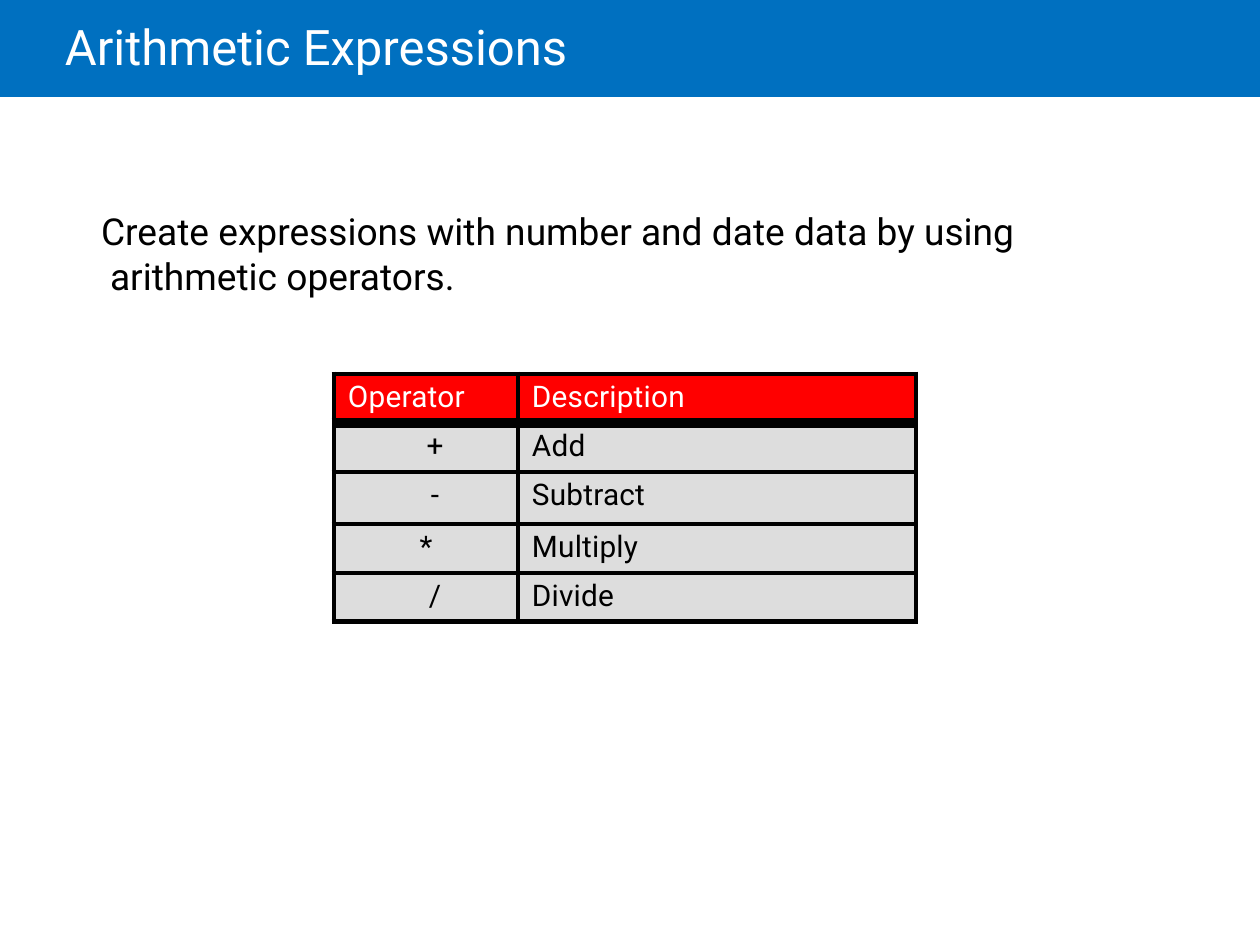
from dataclasses import dataclass
from lxml.etree import SubElement
from pptx import Presentation
from pptx.dml.color import RGBColor
from pptx.enum.shapes import MSO_SHAPE
from pptx.enum.text import MSO_ANCHOR, PP_ALIGN
from pptx.oxml.ns import qn
from pptx.util import Emu, Pt

PX_PER_INCH = 126
FONT = "Roboto"
WHITE, BLACK, BLUE, RED, GRAY = "FFFFFF", "000000", "0070C0", "FF0000", "DDDDDD"
COL_WIDTHS = [184, 398]
ROW_HEIGHTS = [49, 49, 52, 49, 49]


@dataclass
class Operator:
    symbol: str
    description: str
    indent: int = 18


OPERATORS = [
    Operator("+", "Add"),
    Operator("-", "Subtract"),
    Operator("*", "Multiply", indent=0),
    Operator("/", "Divide"),
]


def px(n: int) -> Emu:
    return Emu(round(n * 914400 / PX_PER_INCH))


def rgb(color: str) -> RGBColor:
    return RGBColor.from_string(color)


def place(sp, left: int, top: int, width: int, height: int) -> None:
    sp.left, sp.top, sp.width, sp.height = map(px, (left, top, width, height))


def write(tf, text: str, *, size: float, color: str = BLACK,
          align=PP_ALIGN.LEFT, indent: int = 0, first: int = 0,
          spacing: float = 1.0, tracking: int = 0) -> None:
    """Fill a text frame with one formatted paragraph."""
    tf.word_wrap = True
    p = tf.paragraphs[0]
    p.alignment, p.line_spacing = align, spacing
    pPr = p._p.get_or_add_pPr()
    pPr.set("marL", str(px(indent)))
    pPr.set("indent", str(px(first)))
    r = p.add_run()
    r.text = text
    r.font.name, r.font.size = FONT, Pt(size)
    r.font.color.rgb = rgb(color)
    if tracking:
        r._r.get_or_add_rPr().set("spc", str(tracking))


def set_margins(box, top: int) -> None:
    box.margin_left = box.margin_right = box.margin_bottom = 0
    box.margin_top = px(top)


def style_cell(cell, fill: str, top: float = 3, bottom: float = 3) -> None:
    """Set the margins, borders and fill of a table cell."""
    set_margins(cell, 6)
    cell.vertical_anchor = MSO_ANCHOR.TOP
    tcPr = cell._tc.get_or_add_tcPr()
    for side, width in (("L", 3), ("R", 3), ("T", top), ("B", bottom)):
        ln = SubElement(tcPr, qn(f"a:ln{side}"), w=str(Pt(width)))
        solid = SubElement(ln, qn("a:solidFill"))
        SubElement(solid, qn("a:srgbClr"), val=BLACK)
    cell.fill.solid()
    cell.fill.fore_color.rgb = rgb(fill)


def add_operator_table(slide) -> None:
    shape = slide.shapes.add_table(
        len(ROW_HEIGHTS), len(COL_WIDTHS), px(334), px(374),
        px(sum(COL_WIDTHS)), px(sum(ROW_HEIGHTS)))
    table = shape.table
    for col, width in zip(table.columns, COL_WIDTHS):
        col.width = px(width)
    for row, height in zip(table.rows, ROW_HEIGHTS):
        row.height = px(height)

    # Header row, with a heavier rule below it
    for c, heading in enumerate(("Operator", "Description")):
        cell = table.cell(0, c)
        style_cell(cell, RED, bottom=6)
        write(cell.text_frame, heading, size=17, color=WHITE, indent=14, tracking=10)

    # One row per operator
    for i, op in enumerate(OPERATORS, start=1):
        symbol, description = table.cell(i, 0), table.cell(i, 1)
        for cell in (symbol, description):
            style_cell(cell, GRAY, top=6 if i == 1 else 3)
        write(symbol.text_frame, op.symbol, size=17, align=PP_ALIGN.CENTER,
              indent=op.indent)
        write(description.text_frame, op.description, size=17, indent=14, tracking=10)


def main() -> None:
    prs = Presentation()
    prs.slide_width, prs.slide_height = px(1260), px(945)
    slide = prs.slides.add_slide(prs.slide_layouts[5])
    title = slide.shapes.title

    # Header band, behind the title
    band = slide.shapes.add_shape(MSO_SHAPE.RECTANGLE, 0, 0, px(1260), px(97))
    band.shadow.inherit = False
    band.fill.solid()
    band.fill.fore_color.rgb = rgb(BLUE)
    band.line.fill.background()
    title._element.addprevious(band._element)

    # Title
    place(title, 64, 15, 814, 60)
    set_margins(title.text_frame, 1)
    title.text_frame.vertical_anchor = MSO_ANCHOR.MIDDLE
    write(title.text_frame, "Arithmetic Expressions", size=28, color=WHITE, indent=1)

    # Introduction, with a slight hanging indent
    intro = slide.shapes.add_textbox(px(100), px(207), px(929), px(89))
    set_margins(intro.text_frame, 1)
    write(intro.text_frame,
          "Create expressions with number and date data by using arithmetic operators.",
          size=21.2, indent=10, first=-9, spacing=1.01)

    add_operator_table(slide)
    prs.save("out.pptx")


if __name__ == "__main__":
    main()
